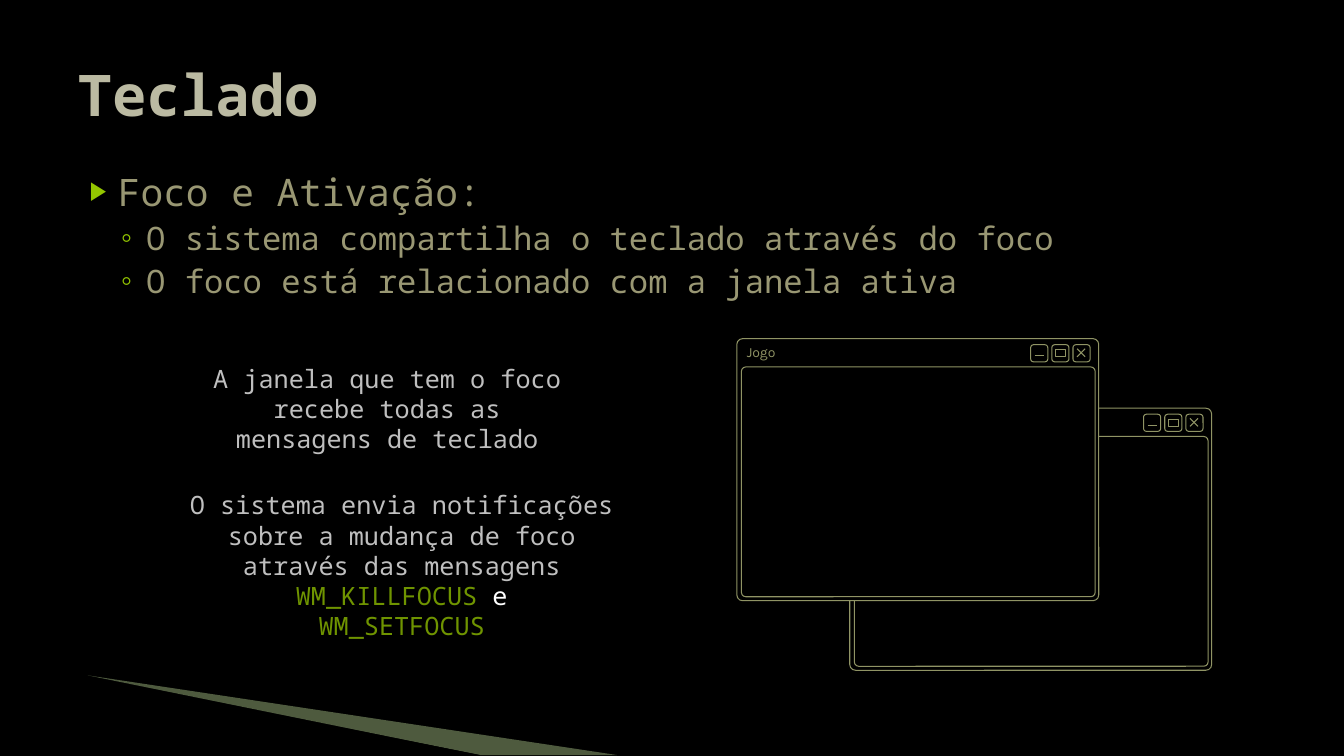
"""Build the slide about keyboard focus and window activation."""
from lxml import etree
from pptx import Presentation
from pptx.dml.color import RGBColor
from pptx.enum.shapes import MSO_CONNECTOR, MSO_SHAPE
from pptx.enum.text import MSO_ANCHOR, MSO_AUTO_SIZE, PP_ALIGN
from pptx.oxml.ns import qn
from pptx.util import Inches, Pt

LEFT, CENTER = PP_ALIGN.LEFT, PP_ALIGN.CENTER
TOP, MIDDLE = MSO_ANCHOR.TOP, MSO_ANCHOR.MIDDLE
NO_AUTO_SIZE = MSO_AUTO_SIZE.NONE
RECTANGLE, ROUNDED = MSO_SHAPE.RECTANGLE, MSO_SHAPE.ROUNDED_RECTANGLE
STRAIGHT = MSO_CONNECTOR.STRAIGHT

CELL = Inches(0.1)
COLUMNS, ROWS = 133.33, 75
MONO, SANS = "Noto Sans Mono", "Karla"
COLORS = {
    "background": "000000", "title": "BBBAA2", "body": "999773",
    "bullet": "94C600", "note": "BFBFBF", "code": "6F9400",
    "white": "FFFFFF", "window": "909465", "wedge": "C3E19D",
}
LEVELS = [
    {"size": 27, "margin": 0.4, "indent": -0.28, "before": 4, "bullet": "▶", "percent": 68},
    {"size": 23, "margin": 0.68, "indent": -0.25, "before": 3.2, "bullet": "◦", "percent": 100},
]
TOPICS = [
    (0, "Foco e Ativação:"),
    (1, "O sistema compartilha o teclado através do foco"),
    (1, "O foco está relacionado com a janela ativa"),
]
FOCUS_NOTE = [[("A janela que tem o foco recebe todas as mensagens de teclado", "note")]]
MESSAGE_NOTE = [
    [
        ("O sistema envia notificações sobre a mudança de foco através das mensagens ", "note"),
        ("WM_KILLFOCUS", "code"),
        (" e", "white"),
    ],
    [("WM_SETFOCUS", "code")],
]


def cells(*counts):
    """Turn counts of grid cells into lengths."""
    return [round(count * CELL) for count in counts]


def color(name):
    """Look up a named colour."""
    return RGBColor.from_string(COLORS[name])


def style_font(font, size, name, color_name=None):
    """Set the size, typeface and optional colour of a font."""
    font.size, font.name = Pt(size), name
    if color_name:
        font.color.rgb = color(color_name)


def place(shape, left, top, width, height):
    """Move a shape to a place on the grid."""
    shape.left, shape.top, shape.width, shape.height = cells(left, top, width, height)


def set_frame(frame, anchor=TOP, wrap=True):
    """Fix the wrapping and anchoring of a text frame."""
    frame.auto_size = NO_AUTO_SIZE
    frame.word_wrap = wrap
    frame.vertical_anchor = anchor


def add_bullet(paragraph, character, percent):
    """Give a paragraph a coloured bullet."""
    properties = paragraph._p.get_or_add_pPr()
    bullet_color = etree.SubElement(properties, qn("a:buClr"))
    etree.SubElement(bullet_color, qn("a:srgbClr"), val=COLORS["bullet"])
    etree.SubElement(properties, qn("a:buSzPct"), val=str(percent * 1000))
    etree.SubElement(properties, qn("a:buChar"), char=character)


def fill_title(title, text):
    """Place and format the slide title."""
    place(title, 6.7, 3, 120, 12.5)
    set_frame(title.text_frame, MIDDLE)
    title.text_frame.text = text
    paragraph = title.text_frame.paragraphs[0]
    paragraph.alignment = LEFT
    style_font(paragraph.font, 41, MONO, "title")
    paragraph.font.bold = True


def fill_body(body, topics):
    """Place the body and write its bulleted topics."""
    place(body, 6.7, 16.2, 120, 49.5)
    frame = body.text_frame
    set_frame(frame)
    for index, (level, text) in enumerate(topics):
        paragraph = frame.add_paragraph() if index else frame.paragraphs[0]
        paragraph.text, paragraph.level = text, level
        style = LEVELS[level]
        properties = paragraph._p.get_or_add_pPr()
        properties.set("marL", str(Inches(style["margin"])))
        properties.set("indent", str(Inches(style["indent"])))
        paragraph.space_before = Pt(style["before"] if index else 0)
        add_bullet(paragraph, style["bullet"], style["percent"])
        style_font(paragraph.font, style["size"], MONO, "body")


def add_note(slide, place_on_grid, paragraphs):
    """Add a centred note made of coloured runs."""
    frame = slide.shapes.add_textbox(*cells(*place_on_grid)).text_frame
    set_frame(frame)
    for index, runs in enumerate(paragraphs):
        paragraph = frame.add_paragraph() if index else frame.paragraphs[0]
        paragraph.alignment = CENTER
        for text, color_name in runs:
            run = paragraph.add_run()
            run.text = text
            run.font.color.rgb = color(color_name)
        style_font(paragraph.font, 18, MONO)


def add_wedge(slide, points, color_name, opacity=100):
    """Add a filled triangle without an outline."""
    start, *others = [cells(*point) for point in points]
    builder = slide.shapes.build_freeform(*start)
    builder.add_line_segments(others, close=True)
    wedge = builder.convert_to_shape()
    wedge.shadow.inherit = False
    wedge.line.fill.background()
    wedge.fill.solid()
    wedge.fill.fore_color.rgb = color(color_name)
    if opacity < 100:
        fill_color = wedge._element.spPr.find(qn("a:solidFill"))[0]
        etree.SubElement(fill_color, qn("a:alpha"), val=str(opacity * 1000))


def add_box(group, kind, left, top, width, height, corner=None):
    """Add an outlined box to a window."""
    box = group.shapes.add_shape(kind, *cells(left, top, width, height))
    box.shadow.inherit = False
    box.fill.solid()
    box.fill.fore_color.rgb = color("background")
    box.line.color.rgb = color("window")
    box.line.width = Pt(0.75)
    if corner is not None:
        box.adjustments[0] = corner


def add_stroke(group, *ends):
    """Add a thin line to a window button."""
    stroke = group.shapes.add_connector(STRAIGHT, *cells(*ends))
    stroke.line.color.rgb = color("window")
    stroke.line.width = Pt(0.75)
    etree.SubElement(stroke._element.spPr, qn("a:effectLst"))


def add_window(slide, left, top, caption=None):
    """Add a window with three buttons and an optional caption."""
    group = slide.shapes.add_group_shape()
    add_box(group, ROUNDED, left, top, 35.9, 26, 0.022)
    add_box(group, ROUNDED, left + 0.45, top + 2.8, 35.1, 22.8, 0.019)
    minimize, maximize, close = [left + 29.15 + 2.1 * index for index in range(3)]
    for button in (minimize, maximize, close):
        add_box(group, ROUNDED, button, top + 0.6, 1.7, 1.7)
    add_stroke(group, minimize + 0.4, top + 1.7, minimize + 1.3, top + 1.7)
    add_box(group, RECTANGLE, maximize + 0.35, top + 1.1, 1, 0.7)
    for start, end in ((1.8, 1), (1, 1.8)):
        add_stroke(group, close + 0.4, top + start, close + 1.2, top + end)
    if caption:
        frame = group.shapes.add_textbox(*cells(left, top, 5.1, 2.8)).text_frame
        set_frame(frame, wrap=False)
        frame.text = caption
        style_font(frame.paragraphs[0].font, 10, SANS, "window")


def main():
    """Assemble and save the slide."""
    presentation = Presentation()
    presentation.slide_width, presentation.slide_height = cells(COLUMNS, ROWS)
    slide = presentation.slides.add_slide(presentation.slide_layouts[1])
    slide.background.fill.solid()
    slide.background.fill.fore_color.rgb = color("background")
    add_wedge(slide, [(8.7, 67), (61.2, 74.9), (47.6, 74.9)], "wedge", 40)
    add_wedge(slide, [(8.4, 67.2), (47.6, 74.9), (39.4, 74.9)], "background")
    fill_title(slide.shapes.title, "Teclado")
    fill_body(slide.placeholders[1], TOPICS)
    add_note(slide, (19.5, 35.5, 37.8, 10.1), FOCUS_NOTE)
    add_note(slide, (17, 48.1, 45.7, 16.1), MESSAGE_NOTE)
    add_window(slide, 84.3, 40.5)
    add_window(slide, 73.1, 33.6, "Jogo")
    presentation.save("out.pptx")


if __name__ == "__main__":
    main()
